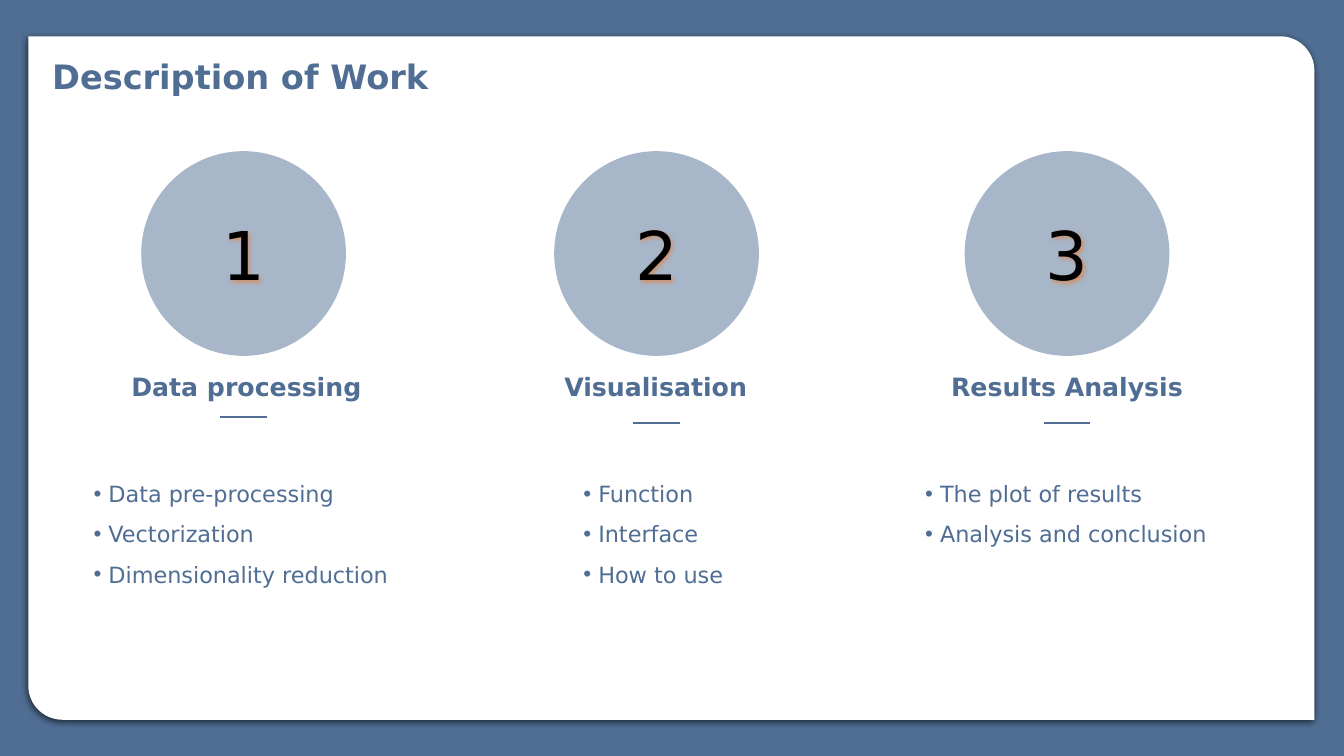
from dataclasses import dataclass
from typing import Any

import lxml.etree
import pptx
import pptx.dml.color
import pptx.enum.shapes
import pptx.enum.text
import pptx.util
from pptx.oxml.ns import qn

Pt = pptx.util.Pt
RGB = pptx.dml.color.RGBColor
Shape = pptx.enum.shapes.MSO_SHAPE
Align = pptx.enum.text.PP_ALIGN
Fit = pptx.enum.text.MSO_AUTO_SIZE

BLUE = RGB(0x50, 0x6E, 0x94)
WHITE = RGB(0xFF, 0xFF, 0xFF)
BLACK = RGB(0, 0, 0)
ORANGE = RGB(0xED, 0x7D, 0x31)

FACE = "DejaVu Sans"
TITLE = {"size": Pt(24), "bold": True, "color": BLUE}
HEAD = {"size": Pt(18), "bold": True, "color": BLUE}
ITEM = {"size": Pt(16), "color": BLUE}
DIGIT = {"size": Pt(48), "color": BLACK}

DISC = 146.2
DISC_TOP = 108
DASH = 33.4
HEAD_W = 188
DIGIT_W = 67.6
LIST_TOP = 329.8
LINE = 28.8
INDENT = 10.6


@dataclass
class Column:
    mid: float
    head_mid: float
    dash_y: float
    list_x: float
    list_w: float
    head: str
    items: list[str]


COLUMNS = [
    Column(174, 176, 298, 59.8, 228.2, "Data processing",
           ["Data pre-processing", "Vectorization", "Dimensionality reduction"]),
    Column(469, 468.4, 302.4, 409.7, 119.5, "Visualisation",
           ["Function", "Interface", "How to use"]),
    Column(762.2, 762.2, 302.4, 653.8, 216.7, "Results Analysis",
           ["The plot of results", "Analysis and conclusion"]),
]


def add(parent: Any, tag: str, **attrs: Any) -> Any:
    """Append a drawing element with the given attributes."""
    return lxml.etree.SubElement(
        parent, qn(tag), {key: str(val) for key, val in attrs.items()})


def shade(shape: Any, color: RGB, alpha: int, blur: float, dist: float,
          angle: int) -> None:
    """Give a shape an outer shadow; alpha is a percentage."""
    shape.shadow.inherit = False
    effects = shape._element.spPr.find(qn("a:effectLst"))
    outer = add(effects, "a:outerShdw", blurRad=Pt(blur), dist=Pt(dist),
                dir=angle * 60000, algn="ctr", rotWithShape=0)
    add(add(outer, "a:srgbClr", val=color), "a:alpha", val=alpha * 1000)


def form(slide: Any, kind: Any, x: float, y: float, w: float, h: float,
         color: RGB) -> Any:
    shape = slide.shapes.add_shape(kind, Pt(x), Pt(y), Pt(w), Pt(h))
    shape.fill.solid()
    shape.fill.fore_color.rgb = color
    shape.line.fill.background()
    shape.shadow.inherit = False
    return shape


def write(slide: Any, x: float, y: float, w: float, h: float,
          lines: list[str], style: dict[str, Any],
          align: Any = Align.LEFT, wrap: bool = True) -> Any:
    box = slide.shapes.add_textbox(Pt(x), Pt(y), Pt(w), Pt(h))
    frame = box.text_frame
    frame.word_wrap = wrap
    frame.auto_size = Fit.SHAPE_TO_FIT_TEXT if wrap else Fit.NONE
    frame.text = "\n".join(lines)
    for para in frame.paragraphs:
        para.alignment = align
        font = para.runs[0].font
        font.name = FACE
        for key, val in style.items():
            if key == "color":
                font.color.rgb = val
            else:
                setattr(font, key, val)
    return box


def dot(box: Any) -> None:
    """Bullet every paragraph of a text box."""
    for para in box.text_frame.paragraphs:
        para.line_spacing = 1.5
        props = para._p.get_or_add_pPr()
        props.set("marL", str(Pt(INDENT)))
        props.set("indent", str(-Pt(INDENT)))
        add(props, "a:buFont", typeface="Arial")
        add(props, "a:buChar", char="•")


def dash(slide: Any, mid: float, y: float) -> None:
    line = slide.shapes.add_connector(
        pptx.enum.shapes.MSO_CONNECTOR.STRAIGHT,
        Pt(mid - DASH / 2), Pt(y), Pt(mid + DASH / 2), Pt(y))
    line.line.color.rgb = BLUE
    line.line.width = Pt(1.5)
    add(line._element.spPr, "a:effectLst")


def draw(slide: Any, num: int, col: Column) -> None:
    disc = form(slide, Shape.OVAL, col.mid - DISC / 2, DISC_TOP, DISC, DISC,
                BLUE)
    tint = disc._element.spPr.find(qn("a:solidFill"))[0]
    add(tint, "a:alpha", val=50000)
    digit = write(slide, col.mid - DIGIT_W / 2, 149, DIGIT_W, 65, [str(num)],
                  DIGIT, Align.CENTER, wrap=False)
    shade(digit, ORANGE, 60, 3, 1.5, 45)
    write(slide, col.head_mid - HEAD_W / 2, 261.4, HEAD_W, 29, [col.head],
          HEAD, Align.CENTER)
    dash(slide, col.mid, col.dash_y)
    dot(write(slide, col.list_x, LIST_TOP, col.list_w,
              LINE * len(col.items) + 7.6, col.items, ITEM))


def main() -> None:
    deck = pptx.Presentation()
    deck.slide_width, deck.slide_height = Pt(960), Pt(540)
    slide = deck.slides.add_slide(deck.slide_layouts[6])
    slide.background.fill.solid()
    slide.background.fill.fore_color.rgb = BLUE

    panel = form(slide, Shape.ROUND_2_DIAG_RECTANGLE, 20.2, 25.9, 918.7, 488.2,
                 WHITE)
    panel.adjustments[0] = 0
    panel.adjustments[1] = 0.05
    shade(panel, BLACK, 63, 4.5, 1.5, 90)

    write(slide, 30.2, 36.7, 407.5, 36, ["Description of Work"], TITLE)
    for num, col in enumerate(COLUMNS, 1):
        draw(slide, num, col)
    deck.save("out.pptx")


if __name__ == "__main__":
    main()
